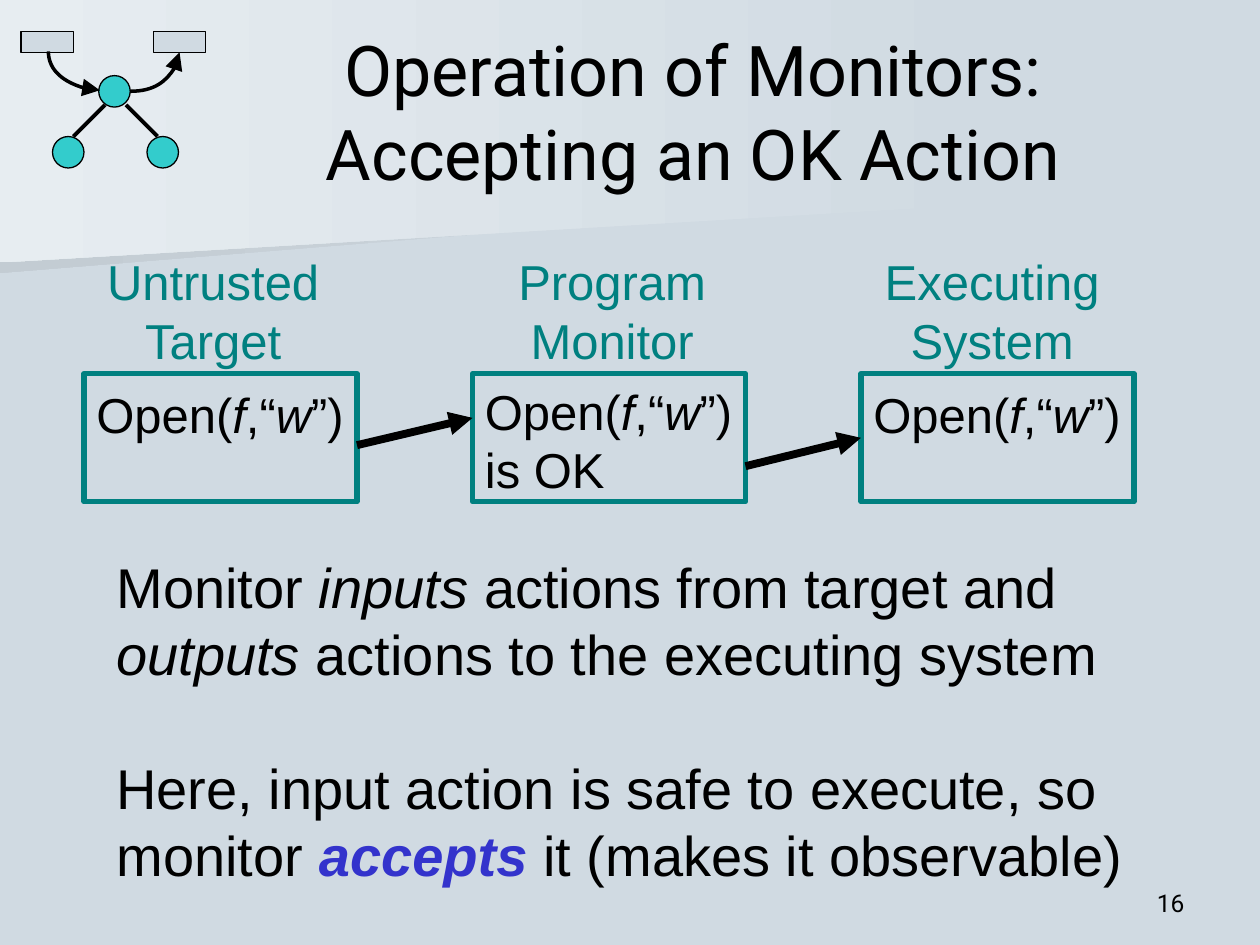
from lxml import etree
from pptx import Presentation, util as u
from pptx.dml import color
from pptx.enum import shapes as sh, text as tx
from pptx.oxml import ns

COLS, ROWS = 120, 90
UNIT = u.Inches(10) / COLS
INK, TEAL, CYAN, BASE = "000000", "008080", "33CCCC", "D0DAE2"


def grid(*nums):
    return [round(n * UNIT) for n in nums]


def hue(code):
    return color.RGBColor.from_string(code)


deck = Presentation()
deck.slide_width, deck.slide_height = grid(COLS, ROWS)
slide = deck.slides.add_slide(deck.slide_layouts[5])
slide.background.fill.solid()
slide.background.fill.fore_color.rgb = hue(BASE)
pen = slide.shapes
title = pen.title

panels = [
    ("C3CCD3", [(93.4, 18.4), (0, 26), (0, 12.1), (93.5, 12.1)]),
    ("E7EDF1", [(95, 19.4), (0, 25), (0, 0), (95, 0)]),
]
for tint, pts in panels:
    form = pen.build_freeform(*grid(*pts[0]))
    form.add_line_segments([grid(*p) for p in pts[1:]], close=True)
    panel = form.convert_to_shape()
    panel.shadow.inherit = False
    panel.line.fill.background()
    panel.fill.gradient()
    panel.fill.gradient_angle = 180
    for stop, code in zip(panel.fill.gradient_stops, (BASE, tint)):
        stop.color.rgb = hue(code)

OVAL, RECT = sh.MSO_SHAPE.OVAL, sh.MSO_SHAPE.RECTANGLE
LEFTS = [8 + 37 * i for i in range(3)]
parts = [(OVAL, (x, y, 3, 3), CYAN, INK, 0.75) for x, y in ((5, 13), (14, 13), (9.4, 7.2))]
parts += [(RECT, (x, 3, 5, 2), BASE, INK, 0.75) for x in (2, 14.6)]
parts += [(RECT, (x, 35.6, 26, 12.2), None, TEAL, 3) for x in LEFTS]
for kind, place, fill, edge, width in parts:
    box = pen.add_shape(kind, *grid(*place))
    box.shadow.inherit = False
    if fill:
        box.fill.solid()
        box.fill.fore_color.rgb = hue(fill)
    else:
        box.fill.background()
    box.line.color.rgb = hue(edge)
    box.line.width = u.Pt(width)

LINE, CURVE = sh.MSO_CONNECTOR.STRAIGHT, sh.MSO_CONNECTOR.CURVE
links = [
    (LINE, (7, 13, 10, 10), 2.25, None, 0),
    (LINE, (12, 10, 15, 13), 2.25, None, 0),
    (CURVE, (8.9, 4.3, 5.2, 9.2), 2, "lg", 270),
    (CURVE, (12.4, 8.7, 17.1, 5), 2, "lg", 0),
    (LINE, (34, 42.4, 45, 39.8), 4.5, "med", 0),
    (LINE, (71, 44.4, 82, 41.7), 4.5, "med", 0),
]
for kind, ends, width, head, turn in links:
    link = pen.add_connector(kind, *grid(*ends))
    link.line.color.rgb = hue(INK)
    link.line.width = u.Pt(width)
    props = link._element.spPr
    if kind == CURVE:
        props.find(ns.qn("a:prstGeom")).set("prst", "curvedConnector2")
    if turn:
        props.find(ns.qn("a:xfrm")).set("rot", str(turn * 60000))
    if head:
        edge = props.find(ns.qn("a:ln"))
        etree.SubElement(edge, ns.qn("a:tailEnd"), type="triangle", w=head, len=head)
    etree.SubElement(props, ns.qn("a:effectLst"))
link.end_connect(box, 1)

LEFT, MID, RIGHT = tx.PP_ALIGN.LEFT, tx.PP_ALIGN.CENTER, tx.PP_ALIGN.RIGHT
call = "Open(*f*,“*w*”)"
body = [
    "Monitor *inputs* actions from target and",
    "*outputs* actions to the executing system",
    "Here, input action is safe to execute, so",
    "monitor *accepts* it (makes it observable)",
]
blocks = [
    ((20, 3, 92, 15), ["Operation of Monitors: Accepting an OK Action"], 40, "Roboto", INK, MID),
    ((9, 23.4, 22.6, 12), ["Untrusted", "Target"], 28, "Arial", TEAL, MID),
    ((47, 23.4, 22.6, 12), ["Program", "Monitor"], 28, "Arial", TEAL, MID),
    ((83, 23.4, 23, 12), ["Executing", "System"], 28, "Arial", TEAL, MID),
    ((LEFTS[0], 36, 27, 7), [call], 28, "Arial", INK, LEFT),
    ((LEFTS[1], 35.7, 27, 12), [call, "is OK"], 28, "Arial", INK, LEFT),
    ((LEFTS[2], 36, 27, 7), [call], 28, "Arial", INK, LEFT),
    ((9.9, 52, 100, 33), body, 32, "Arial", INK, LEFT),
    ((86, 82, 28, 6), ["16"], 14, "Roboto", INK, RIGHT),
]
pen._spTree.append(title._element)
for i, (place, lines, size, font, tone, side) in enumerate(blocks):
    if i == 0:
        area = title
        area.left, area.top, area.width, area.height = grid(*place)
    else:
        area = pen.add_textbox(*grid(*place))
    frame = area.text_frame
    frame.word_wrap = True
    frame.auto_size = tx.MSO_AUTO_SIZE.NONE
    for n, line in enumerate(lines):
        para = frame.paragraphs[0] if n == 0 else frame.add_paragraph()
        para.alignment = side
        for k, bit in enumerate(line.split("*")):
            if bit:
                run = para.add_run()
                run.text = bit
                run.font.size = u.Pt(size)
                run.font.name = font
                run.font.italic = k % 2 == 1
                run.font.bold = bit == "accepts"
                run.font.color.rgb = hue("3333CC" if bit == "accepts" else tone)
    if lines is body:
        frame.paragraphs[2].space_before = u.Pt(38)
title.text_frame.vertical_anchor = tx.MSO_ANCHOR.MIDDLE
frame.vertical_anchor = tx.MSO_ANCHOR.BOTTOM

deck.save("out.pptx")
